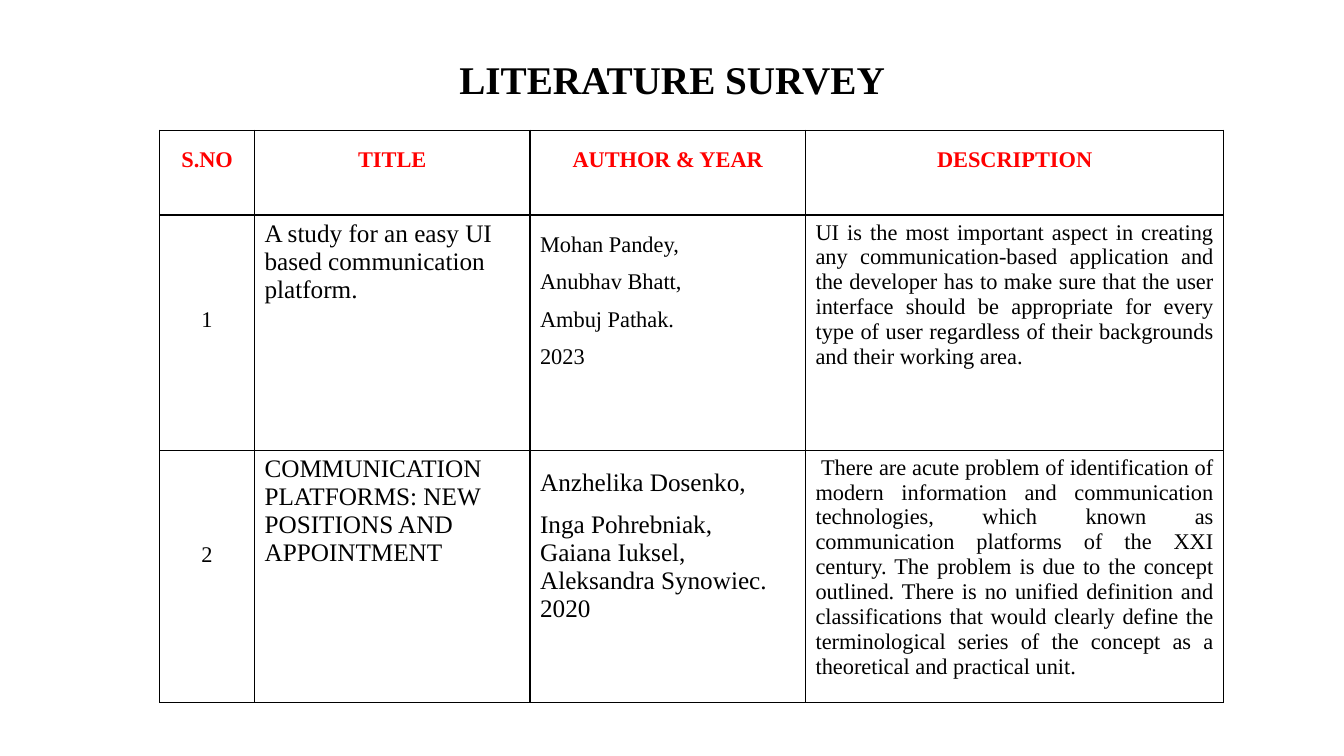
from lxml.etree import SubElement
from pptx import Presentation
from pptx.dml.color import RGBColor
from pptx.enum.text import PP_ALIGN as Align
from pptx.oxml import parse_xml
from pptx.oxml.ns import nsdecls, qn
from pptx.util import Inches, Pt

BLACK = RGBColor(0, 0, 0)
RED = RGBColor(255, 0, 0)
FONT = "Times New Roman"

HEADERS = ["S.NO", "TITLE", "AUTHOR & YEAR", "DESCRIPTION"]
PAPERS = [
    ("A study for an easy UI based communication platform.",
     [("Mohan Pandey,", "Anubhav Bhatt,", "Ambuj Pathak.", "2023")],
     "UI is the most important aspect in creating any communication-based "
     "application and the developer has to make sure that the user interface "
     "should be appropriate for every type of user regardless of their "
     "backgrounds and their working area."),
    ("COMMUNICATION PLATFORMS: NEW POSITIONS AND APPOINTMENT",
     [("Anzhelika Dosenko,", "Inga Pohrebniak,"),
      ("Gaiana Iuksel,", "Aleksandra Synowiec.", "2020")],
     " There are acute problem of identification of modern information and "
     "communication technologies, which known as communication platforms of "
     "the XXI century. The problem is due to the concept outlined. There is "
     "no unified definition and classifications that would clearly define the "
     "terminological series of the concept as a theoretical and practical "
     "unit."),
]
AUTHOR_SIZES = [16, 18]


def write(tf, text, size=16, color=BLACK, bold=False, align=Align.LEFT,
          spacing=1.0):
    """Fill the first paragraph if it is empty, otherwise add one."""
    p = tf.paragraphs[0] if not tf.text else tf.add_paragraph()
    p.alignment, p.line_spacing = align, spacing
    r = p.add_run()
    r.text = text
    r.font.name, r.font.size, r.font.bold = FONT, Pt(size), bold
    r.font.color.rgb = color


class Deck:
    """One slide on a grid of 160 columns by 90 rows."""

    def __init__(self):
        self.prs = Presentation()
        self.prs.slide_width, self.prs.slide_height = Inches(13.33), Inches(7.5)
        self.s = self.prs.slides.add_slide(self.prs.slide_layouts[6])

    def x(self, cols):
        return int(self.prs.slide_width * cols / 160)

    def y(self, rows):
        return int(self.prs.slide_height * rows / 90)

    def title(self, text, left, top, width, height):
        sp = self.s.shapes.add_textbox(
            self.x(left), self.y(top), self.x(width), self.y(height))
        sp.text_frame.word_wrap = True
        write(sp.text_frame, text, size=28, bold=True, align=Align.CENTER)

    def table(self, left, top, widths, heights):
        table = self.s.shapes.add_table(
            len(heights), len(widths), self.x(left), self.y(top),
            self.x(sum(widths)), self.y(sum(heights))).table
        table.first_row = table.horz_banding = False
        for col, width in zip(table.columns, widths):
            col.width = self.x(width)
        for row, height in zip(table.rows, heights):
            row.height = self.y(height)
        for cell in table.iter_cells():
            cell.fill.background()
            self.borders(cell)
        return table

    def borders(self, cell):
        tcPr = cell._tc.get_or_add_tcPr()
        for i, side in enumerate("LRTB"):
            ln = parse_xml(f'<a:ln{side} {nsdecls("a")} w="{Pt(1)}"/>')
            fill = SubElement(ln, qn("a:solidFill"))
            SubElement(fill, qn("a:srgbClr"), val=str(BLACK))
            tcPr.insert(i, ln)


def main():
    deck = Deck()
    deck.title("LITERATURE SURVEY", 16, 6, 128, 15)
    table = deck.table(19, 15.5, [11.3, 32.8, 32.8, 49.8], [10.1, 28, 28.2])

    # Header row
    for col, header in enumerate(HEADERS):
        write(table.cell(0, col).text_frame, header, color=RED, bold=True,
              align=Align.CENTER, spacing=1.5)

    # One row per paper
    for row, (name, authors, description) in enumerate(PAPERS, 1):
        number, title, people, about = table.rows[row].cells
        number.margin_top = Inches(0.79)
        write(number.text_frame, str(row), align=Align.CENTER, spacing=1.5)
        write(title.text_frame, name, size=18)
        # The first group of authors is spaced widely, the second is not
        for group, spacing in zip(authors, (1.5, 1.0)):
            for line in group:
                write(people.text_frame, line, size=AUTHOR_SIZES[row - 1],
                      spacing=spacing)
        write(about.text_frame, description, align=Align.JUSTIFY)

    deck.prs.save("out.pptx")


if __name__ == "__main__":
    main()
